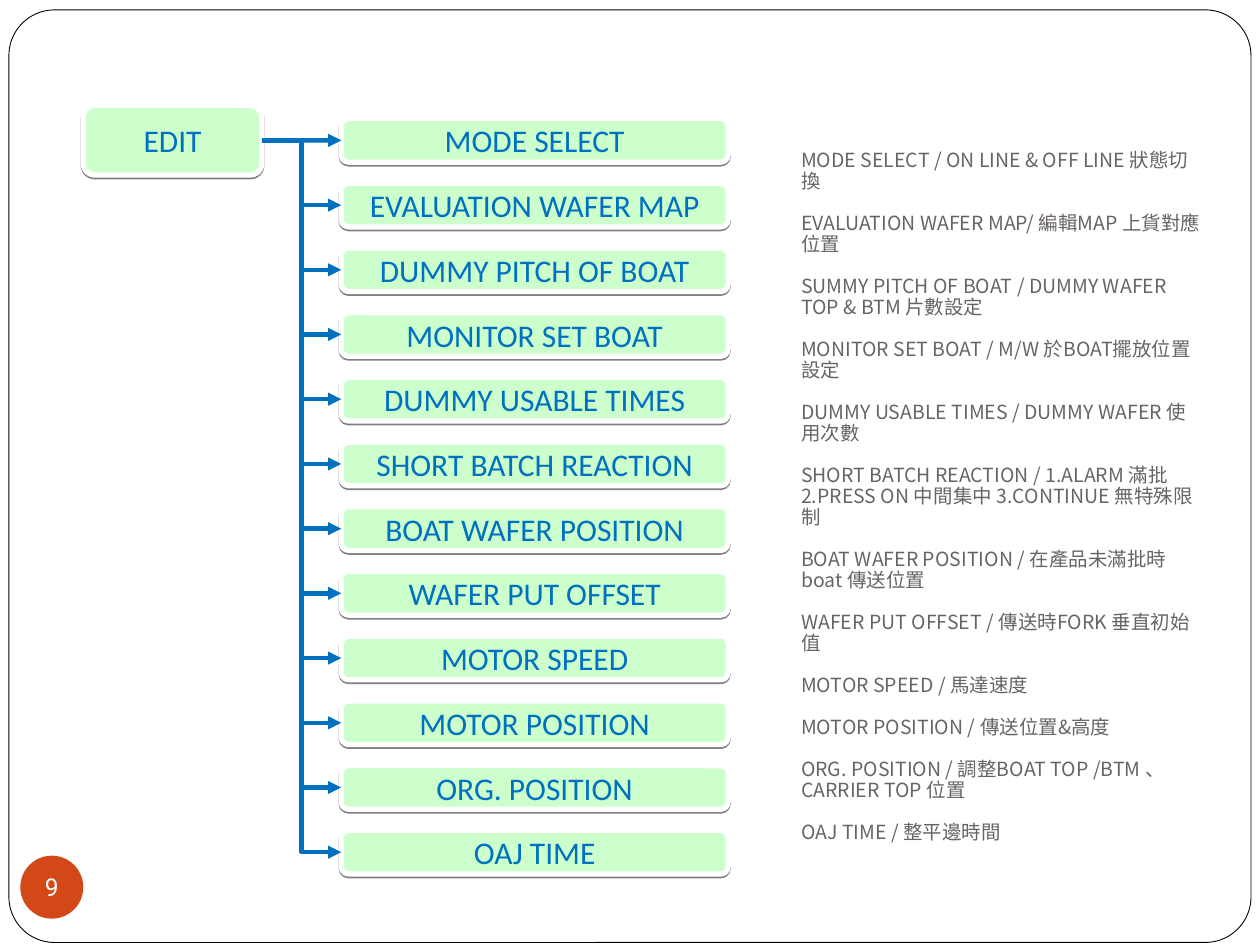
"""Build the EDIT menu tree slide with its explanations."""
from lxml.etree import SubElement
from pptx import Presentation
from pptx.dml.color import RGBColor
from pptx.enum.shapes import MSO_CONNECTOR, MSO_SHAPE
from pptx.enum.text import MSO_ANCHOR, PP_ALIGN
from pptx.oxml.ns import qn
from pptx.util import Cm, Pt

WHITE = RGBColor(0xFF, 0xFF, 0xFF)
BLACK = RGBColor(0x00, 0x00, 0x00)
ORANGE = RGBColor(0xD3, 0x48, 0x17)
MINT = RGBColor(0xCC, 0xFF, 0xCC)
BLUE = RGBColor(0x00, 0x70, 0xC0)
GREY = RGBColor(0x69, 0x64, 0x64)

MENU_ITEMS = [
    "MODE SELECT", "EVALUATION WAFER MAP", "DUMMY PITCH OF BOAT",
    "MONITOR SET BOAT", "DUMMY USABLE TIMES", "SHORT BATCH REACTION",
    "BOAT WAFER POSITION", "WAFER PUT OFFSET", "MOTOR SPEED",
    "MOTOR POSITION", "ORG. POSITION", "OAJ TIME",
]
EXPLANATIONS = [
    "MODE SELECT / ON LINE & OFF LINE 狀態切換",
    "EVALUATION WAFER MAP/ 編輯MAP 上貨對應位置",
    "SUMMY PITCH OF BOAT / DUMMY WAFER TOP & BTM 片數設定",
    "MONITOR SET BOAT / M/W 於BOAT擺放位置設定",
    "DUMMY USABLE TIMES / DUMMY WAFER 使用次數",
    "SHORT BATCH REACTION / 1.ALARM 滿批 2.PRESS ON 中間集中 3.CONTINUE 無特殊限制",
    "BOAT WAFER POSITION / 在產品未滿批時boat 傳送位置",
    "WAFER PUT OFFSET / 傳送時FORK 垂直初始值",
    "MOTOR SPEED / 馬達速度",
    "MOTOR POSITION / 傳送位置&高度",
    "ORG. POSITION / 調整BOAT TOP /BTM 、CARRIER TOP 位置",
    "OAJ TIME / 整平邊時間",
]
FIRST_TOP, LAST_TOP = 2.39, 16.74
LEFT_SITE, RIGHT_SITE = 1, 3


class SlideBuilder:
    """Hold the style and the current slide."""

    menu_font = "Calibri"
    number_font = "Roboto"
    explanation_font = "Noto Sans CJK SC"

    def __init__(self, slide):
        self.slide = slide

    def style_text(self, para, font, size, color):
        for span in para.runs:
            span.font.name = font
            span.font.size = Pt(size)
            span.font.color.rgb = color
            SubElement(span.font._element, qn("a:ea"), typeface=font)

    def shape(self, kind, left, top, width, height, fill):
        shape = self.slide.shapes.add_shape(
            kind, Cm(left), Cm(top), Cm(width), Cm(height))
        shape.shadow.inherit = False
        shape.fill.solid()
        shape.fill.fore_color.rgb = fill
        return shape

    def outline(self, shape, color, width):
        shape.line.color.rgb = color
        shape.line.width = Pt(width)

    def label(self, shape, text, font, size, color):
        frame = shape.text_frame
        frame.text = text
        frame.vertical_anchor = MSO_ANCHOR.MIDDLE
        para = frame.paragraphs[0]
        para.alignment = PP_ALIGN.CENTER
        self.style_text(para, font, size, color)

    def border(self):
        border = self.shape(MSO_SHAPE.ROUNDED_RECTANGLE, 0.18, 0.2, 25.04, 18.8, WHITE)
        border.adjustments[0] = 0.049
        self.outline(border, BLACK, 0.5)

    def page_number(self, text):
        badge = self.shape(MSO_SHAPE.OVAL, 0.41, 17.25, 1.27, 1.27, ORANGE)
        badge.line.fill.background()
        self.label(badge, text, self.number_font, 14, WHITE)
        frame = badge.text_frame
        frame.word_wrap = False
        frame.margin_left = frame.margin_right = 0
        frame.margin_top = frame.margin_bottom = 0

    def menu_box(self, text, left, top, width, height):
        box = self.shape(MSO_SHAPE.FLOWCHART_ALTERNATE_PROCESS,
                         left, top, width, height, MINT)
        self.outline(box, WHITE, 3)
        effects = box._element.spPr.find(qn("a:effectLst"))
        shadow = SubElement(effects, qn("a:outerShdw"), blurRad="0",
                            dist=str(Pt(1)), dir="5400000", rotWithShape="0")
        tint = SubElement(shadow, qn("a:srgbClr"), val=str(BLACK))
        SubElement(tint, qn("a:alpha"), val="50000")
        self.label(box, text, self.menu_font, 18, BLUE)
        return box

    def arrow(self, kind, source, target):
        arrow = self.slide.shapes.add_connector(kind, 0, 0, 0, 0)
        arrow.begin_connect(source, RIGHT_SITE)
        arrow.end_connect(target, LEFT_SITE)
        self.outline(arrow, BLUE, 2.5)
        line = arrow._element.spPr.find(qn("a:ln"))
        SubElement(line, qn("a:tailEnd"), type="triangle")
        SubElement(arrow._element.spPr, qn("a:effectLst"))

    def explanation_column(self, texts, left, top, width, height):
        box = self.slide.shapes.add_textbox(Cm(left), Cm(top), Cm(width), Cm(height))
        frame = box.text_frame
        frame.word_wrap = True
        frame.vertical_anchor = MSO_ANCHOR.MIDDLE
        for index, text in enumerate(texts):
            para = frame.add_paragraph() if index else frame.paragraphs[0]
            para.text = text
            para.line_spacing = Pt(12)
            if index:
                para.space_before = Pt(12)
            self.style_text(para, self.explanation_font, 11.1, GREY)


def main():
    deck = Presentation()
    deck.slide_width, deck.slide_height = Cm(25.4), Cm(19.05)
    page = SlideBuilder(deck.slides.add_slide(deck.slide_layouts[6]))
    page.border()
    page.page_number("9")

    root = page.menu_box("EDIT", 1.68, 2.13, 3.6, 1.4)
    pitch = (LAST_TOP - FIRST_TOP) / (len(MENU_ITEMS) - 1)
    boxes = [page.menu_box(item, 6.88, FIRST_TOP + row * pitch, 7.8, 0.88)
             for row, item in enumerate(MENU_ITEMS)]
    page.arrow(MSO_CONNECTOR.STRAIGHT, root, boxes[0])
    for box in boxes[1:]:
        page.arrow(MSO_CONNECTOR.ELBOW, root, box)

    page.explanation_column(EXPLANATIONS, 15.9, 1.52, 8.61, 16.99)
    deck.save("out.pptx")


if __name__ == "__main__":
    main()
